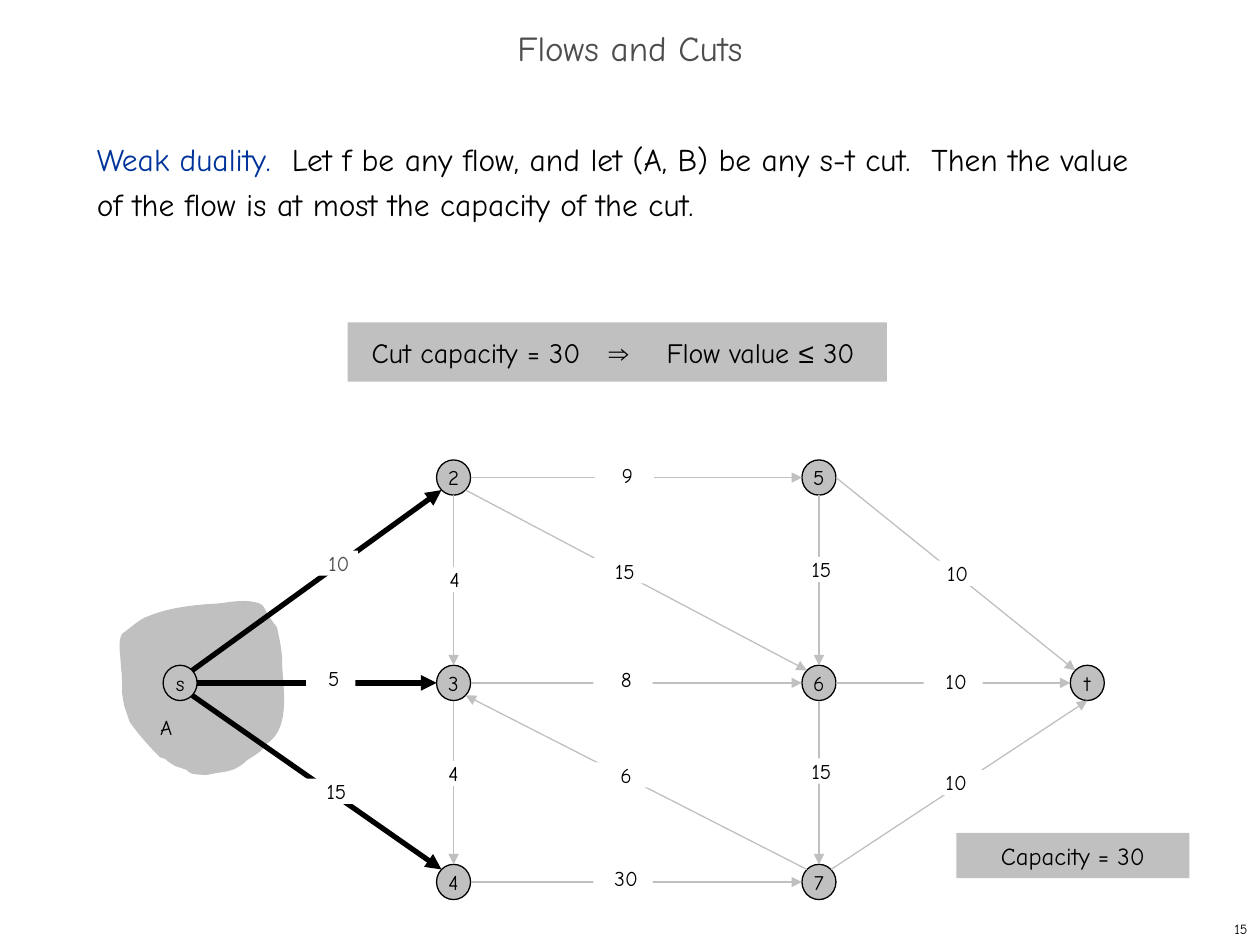
import pptx
import pptx.util
import pptx.dml.color
import pptx.enum.shapes
import pptx.enum.text
import pptx.oxml
import pptx.oxml.ns
from pptx.util import Inches

COLORS = {"ink": "000000", "muted": "4D4D4D", "accent": "003399",
          "gray": "C0C0C0", "paper": "FFFFFF"}
FONT = "Comic Neue"
SYMBOL_FONT = "Arial"
ALIGN = pptx.enum.text.PP_ALIGN
ANCHOR = pptx.enum.text.MSO_ANCHOR
SHAPE = pptx.enum.shapes.MSO_SHAPE

NODE_WIDTH, NODE_HEIGHT = 0.27, 0.28
COLUMNS = (0.53, 2.7, 5.6, 7.73)
ROWS = (0.19, 1.82, 3.4)
NODES = {"s": (0, 1), "2": (1, 0), "3": (1, 1), "4": (1, 2),
         "5": (2, 0), "6": (2, 1), "7": (2, 2), "t": (3, 1)}
SIDES = {"N": (0, -1), "S": (0, 1), "W": (-1, 0), "E": (1, 0),
         "NW": (-0.71, -0.71), "NE": (0.71, -0.71),
         "SW": (-0.71, 0.71), "SE": (0.71, 0.71)}
CUT_EDGES = [("s", "NE", "2", "SW"), ("s", "E", "3", "W"), ("s", "SE", "4", "NW")]
OTHER_EDGES = [
    ("3", "E", "6", "W"), ("7", "NW", "3", "SE"), ("3", "S", "4", "N"),
    ("2", "E", "5", "W"), ("4", "E", "7", "W"), ("2", "S", "3", "N"),
    ("6", "S", "7", "N"), ("5", "S", "6", "N"), ("2", "SE", "6", "NW"),
    ("5", "E", "t", "NW"), ("6", "E", "t", "W"), ("7", "NE", "t", "S"),
]
CAPACITIES = [
    ("15", 1.51, 2.58, {}), ("5", 1.53, 1.68, {"width": 0.39}),
    ("30", 3.81, 3.27, {}), ("15", 5.36, 2.42, {}),
    ("10", 1.47, 0.77, {"indent": 0.17, "color": "muted"}),
    ("8", 3.81, 1.69, {}), ("15", 3.8, 0.83, {}), ("9", 3.82, 0.07, {}),
    ("6", 3.81, 2.45, {}), ("10", 6.43, 2.51, {}), ("10", 6.43, 1.71, {}),
    ("10", 6.38, 0.85, {"indent": 0.17}), ("15", 5.36, 0.82, {}),
    ("4", 2.45, 0.9, {}), ("4", 2.44, 2.44, {}),
]
CUT_START = (0.04, 0.28)
CUT_CURVES = [
    (0.1, 0.24, 0.18, 0.16, 0.25, 0.14), (0.42, 0.07, 0.62, 0.05, 0.8, 0.04),
    (0.91, 0.03, 1.01, 0, 1.13, 0.04), (1.17, 0.05, 1.18, 0.11, 1.21, 0.15),
    (1.23, 0.18, 1.27, 0.23, 1.27, 0.23), (1.3, 0.39, 1.29, 0.31, 1.31, 0.47),
    (1.3, 0.64, 1.4, 1.02, 1.19, 1.15), (1.15, 1.21, 1.13, 1.22, 1.07, 1.26),
    (0.97, 1.32, 1.06, 1.28, 0.94, 1.35), (0.88, 1.38, 0.79, 1.38, 0.72, 1.4),
    (0.68, 1.4, 0.63, 1.4, 0.59, 1.39), (0.57, 1.38, 0.56, 1.37, 0.55, 1.36),
    (0.51, 1.34, 0.5, 1.35, 0.46, 1.33), (0.33, 1.25, 0.43, 1.29, 0.34, 1.26),
    (0.25, 1.17, 0.17, 1.08, 0.1, 0.98), (0.09, 0.95, 0.08, 0.92, 0.07, 0.89),
    (0.05, 0.85, 0.04, 0.75, 0.04, 0.75), (0.04, 0.68, 0.04, 0.61, 0.03, 0.54),
    (0.03, 0.46, 0, 0.34, 0.04, 0.28),
]


def rgb(name):
    """Return the named palette colour."""
    return pptx.dml.color.RGBColor.from_string(COLORS[name])


def write(shape, text, size=12, color="ink", align=ALIGN.CENTER, anchor=ANCHOR.MIDDLE,
          insets=(0, 0, 0, 0), wrap=True, spacing=None, tabs=()):
    """Fill a shape with a string or with (text, colour, font) runs."""
    frame = shape.text_frame
    frame.word_wrap, frame.vertical_anchor = wrap, anchor
    (frame.margin_left, frame.margin_top,
     frame.margin_right, frame.margin_bottom) = map(Inches, insets)
    paragraph = frame.paragraphs[0]
    paragraph.alignment, paragraph.line_spacing = align, spacing
    if tabs:
        properties = paragraph._p.get_or_add_pPr()
        tab_list = properties.makeelement(pptx.oxml.ns.qn("a:tabLst"), {})
        properties.append(tab_list)
        for position in tabs:
            tab_list.append(tab_list.makeelement(
                pptx.oxml.ns.qn("a:tab"), {"pos": str(Inches(position)), "algn": "l"}))
    runs = [(text, color, FONT)] if isinstance(text, str) else text
    for words, run_color, font in runs:
        run = paragraph.add_run()
        run.text = words
        run.font.size, run.font.name = pptx.util.Pt(size), font
        run.font.color.rgb = rgb(run_color)


def paint(shape, fill, line=None):
    """Give a shape a flat fill and an optional thin outline."""
    shape.shadow.inherit = False
    shape.fill.solid()
    shape.fill.fore_color.rgb = rgb(fill)
    if line:
        shape.line.color.rgb = rgb(line)
        shape.line.width = pptx.util.Pt(0.75)
    else:
        shape.line.fill.background()


def add_text(slide, box, text, **style):
    """Add a text box."""
    write(slide.shapes.add_textbox(*map(Inches, box)), text, **style)


def add_panel(slide, box, text, fill="gray", line=None, kind=SHAPE.RECTANGLE, **style):
    """Add a filled shape holding text."""
    panel = slide.shapes.add_shape(kind, *map(Inches, box))
    paint(panel, fill, line)
    write(panel, text, **style)


def add_arrow(slide, start, end, color, width):
    """Add a straight arrow between two points."""
    arrow = slide.shapes.add_connector(pptx.enum.shapes.MSO_CONNECTOR.STRAIGHT,
                                       *map(Inches, start + end))
    arrow.line.color.rgb = rgb(color)
    arrow.line.width = pptx.util.Pt(width)
    line = arrow.line._get_or_add_ln()
    line.append(line.makeelement(pptx.oxml.ns.qn("a:tailEnd"), {"type": "triangle"}))
    properties = arrow._element.spPr
    properties.append(properties.makeelement(pptx.oxml.ns.qn("a:effectLst"), {}))


def add_cut(slide, box):
    """Draw the region of cut A, turning each three segments into one curve."""
    left, top = box[:2]
    points = [(Inches(left + x), Inches(top + y)) for curve in CUT_CURVES
              for x, y in zip(curve[::2], curve[1::2])]
    outline = slide.shapes.build_freeform(Inches(left + CUT_START[0]),
                                          Inches(top + CUT_START[1]))
    outline.add_line_segments(points, close=True)
    region = outline.convert_to_shape()
    segments = list(region._element.iter(pptx.oxml.ns.qn("a:lnTo")))
    for first in range(0, len(segments), 3):
        curve = segments[first].makeelement(pptx.oxml.ns.qn("a:cubicBezTo"), {})
        segments[first].addprevious(curve)
        for segment in segments[first:first + 3]:
            curve.append(segment[0])
            segment.getparent().remove(segment)
    paint(region, "gray")


def add_network(slide, box):
    """Draw the cut, nodes, edges and capacities of the flow network."""
    left, top = box[:2]
    add_cut(slide, (left + 0.03, top + 1.15, 1.4, 1.4))
    centers = {name: (left + COLUMNS[column], top + ROWS[row])
               for name, (column, row) in NODES.items()}
    radii = (NODE_WIDTH / 2, NODE_HEIGHT / 2)
    for name, (x, y) in centers.items():
        add_panel(slide, (x - radii[0], y - radii[1], NODE_WIDTH, NODE_HEIGHT), name,
                  line="ink", kind=SHAPE.OVAL, wrap=False)

    def port(name, side):
        """Return the point on one side of a node."""
        return tuple(c + r * d for c, r, d in zip(centers[name], radii, SIDES[side]))

    for edges, color, width in ((CUT_EDGES, "ink", 3), (OTHER_EDGES, "gray", 0.75)):
        for source, leaving, target, entering in edges:
            add_arrow(slide, port(source, leaving), port(target, entering), color, width)
    for capacity, x, y, options in CAPACITIES:
        add_panel(slide, (left + x, top + y, options.get("width", 0.47), 0.2), capacity,
                  fill="paper", color=options.get("color", "ink"),
                  insets=(options.get("indent", 0.05), 0, 0, 0))
    add_text(slide, (left + 0.37, top + 2.07, 0.1, 0.2), "A", wrap=False)


def add_statement(slide, box):
    """Write the title, the theorem and the bound under it."""
    left, top, width = box[:3]
    padding = (0.1, 0.05, 0.1, 0.05)
    add_text(slide, (left, top + 0.17, width, 0.5), "Flows and Cuts", size=20,
             color="muted", spacing=0.7, insets=padding)
    theorem = [("Weak duality.", "accent", FONT),
               ("  Let f be any flow, and let (A, B) be any s-t cut.  Then the value of "
                "the flow is at most the capacity of the cut.", "ink", FONT)]
    add_text(slide, (left + 0.67, top + 1, 8.58, 5.92), theorem, size=18, align=ALIGN.LEFT,
             anchor=ANCHOR.TOP, spacing=pptx.util.Pt(26), insets=padding)
    bound = [("Cut capacity = 30\t", "ink", FONT), ("⇒\t", "ink", SYMBOL_FONT),
             ("Flow value ", "ink", FONT), ("≤", "ink", SYMBOL_FONT), (" 30", "ink", FONT)]
    add_panel(slide, (left + 2.76, top + 2.56, 4.28, 0.47), bound, size=16,
              align=ALIGN.LEFT, anchor=ANCHOR.TOP, wrap=True,
              insets=(0.19, 0.1, 0.1, 0.1), tabs=(1.88, 2.34))


def main():
    """Build and save the slide."""
    deck = pptx.Presentation()
    deck.slide_width, deck.slide_height = Inches(10), Inches(7.5)
    slide = deck.slides.add_slide(deck.slide_layouts[6])
    add_statement(slide, (0, 0, 10, 3.1))
    add_network(slide, (0.9, 3.6, 7.9, 3.6))
    add_panel(slide, (7.59, 6.61, 1.85, 0.36), "Capacity = 30", size=14)
    add_text(slide, (7.92, 7.25, 2.08, 0.25), "15", size=8, align=ALIGN.RIGHT,
             insets=(0.1, 0.05, 0.1, 0.05))
    deck.save("out.pptx")


if __name__ == "__main__":
    main()
